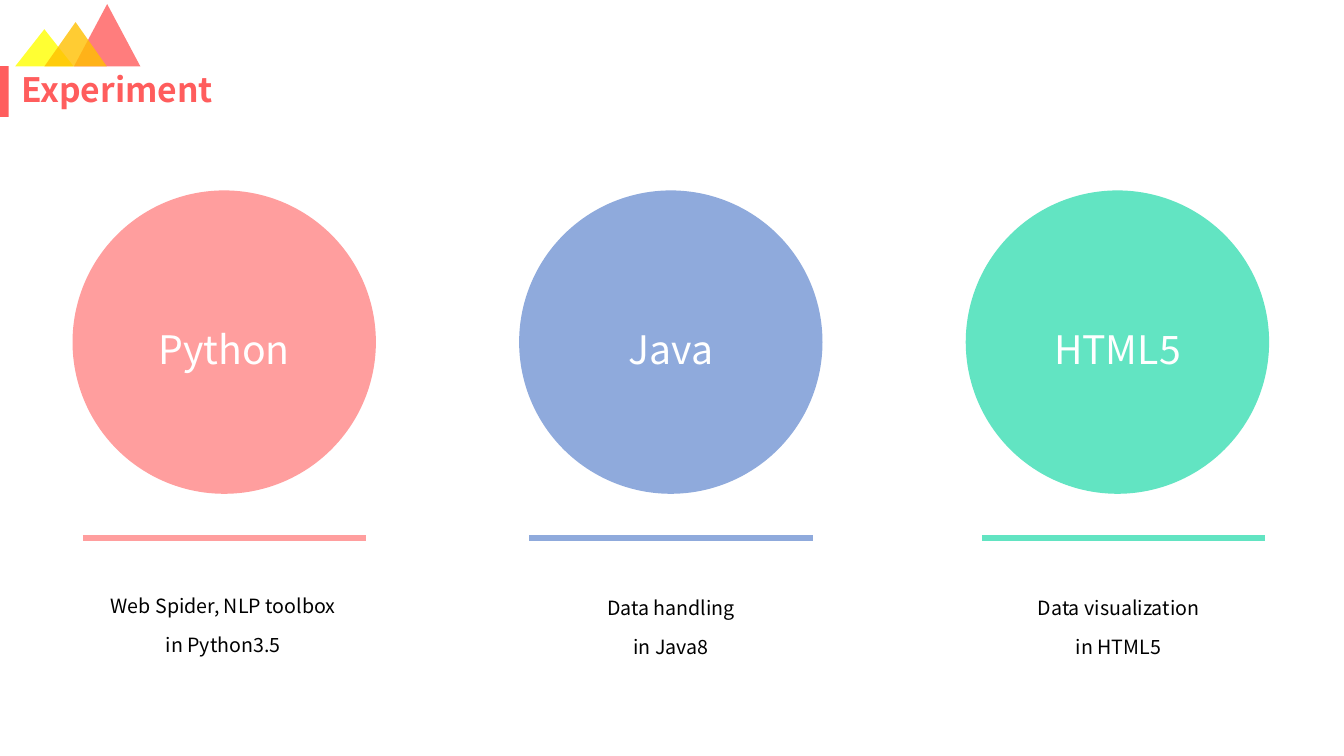
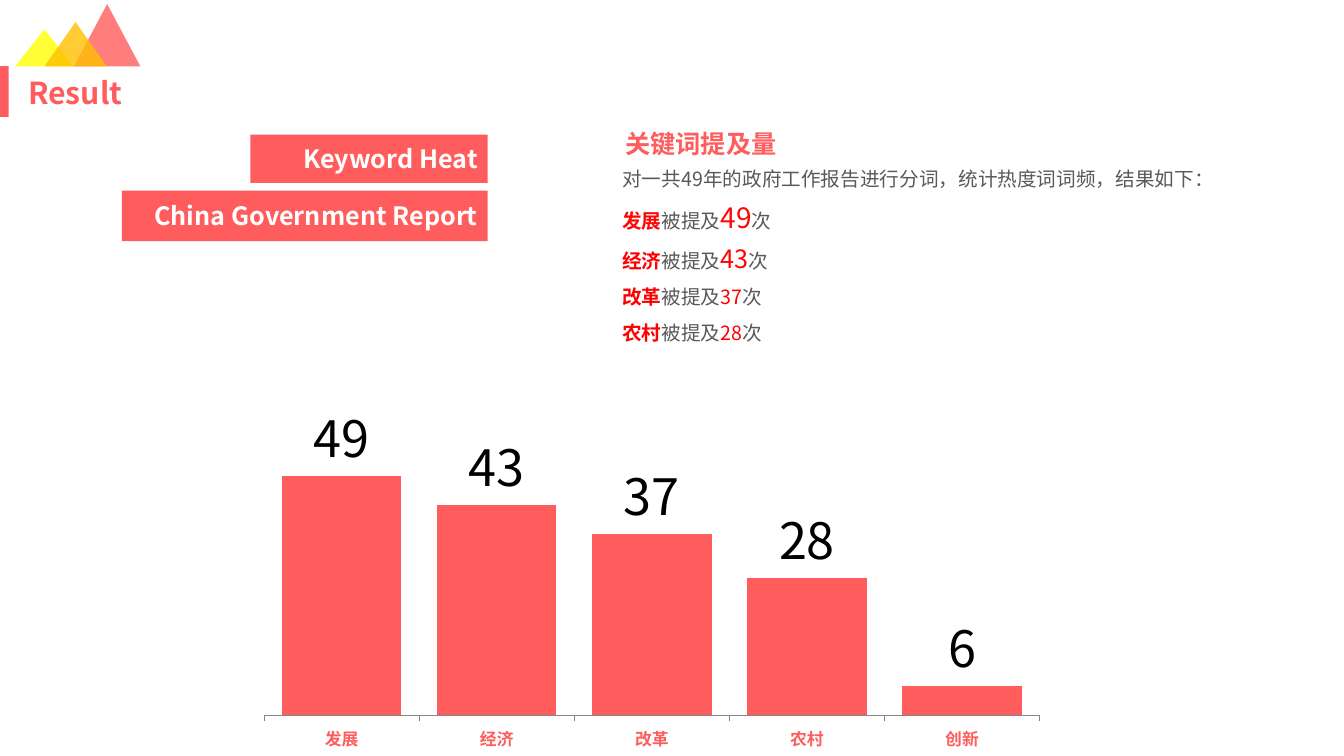
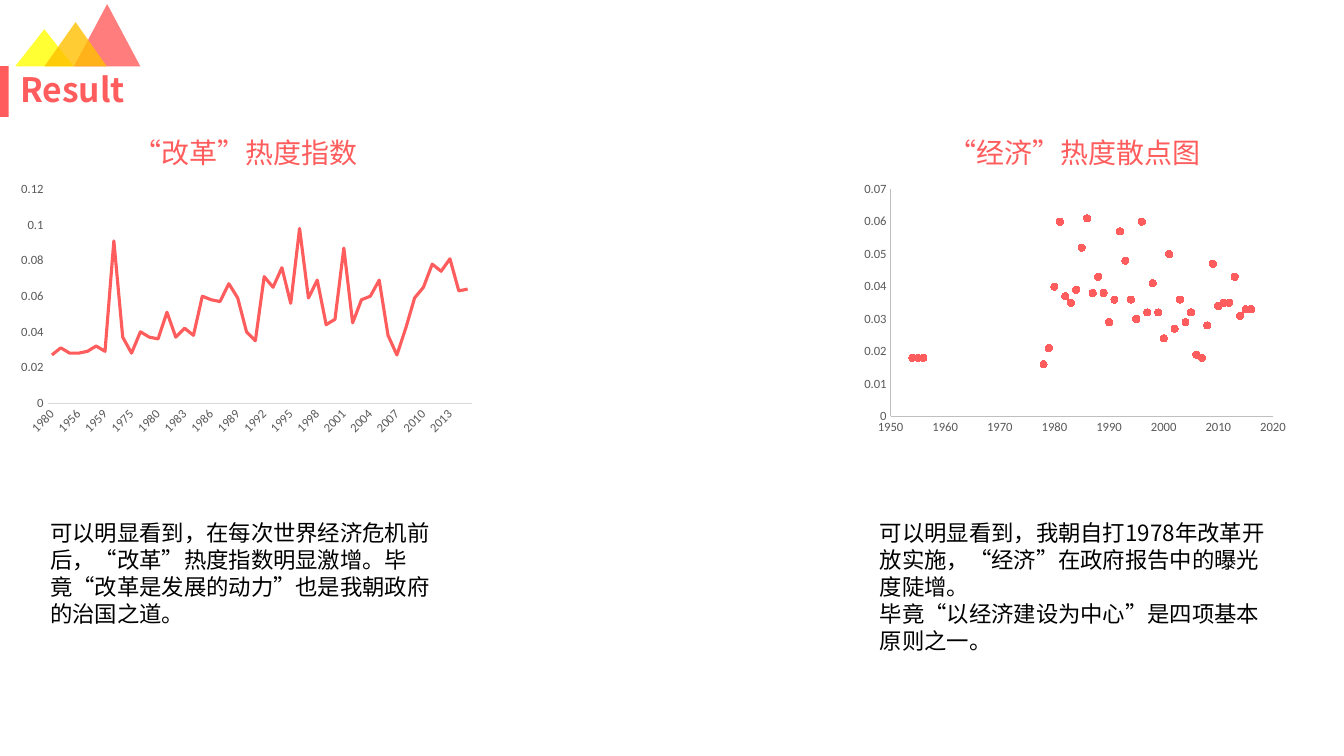
"""Build three slides on keyword heat in government reports."""
from lxml import etree
from pptx import Presentation, util as u
from pptx.chart import data
from pptx.dml import color as dml
from pptx.enum import chart as charts, shapes, text
from pptx.oxml import ns, parse_xml

rgb = dml.RGBColor.from_string
CORAL, WHITE, BLACK, GREY, RED = "FF5D5D", "FFFFFF", "000000", "595959", "FF0000"
FONT = "Noto Sans CJK SC"
LEFT, CENTER, RIGHT = text.PP_ALIGN.LEFT, text.PP_ALIGN.CENTER, text.PP_ALIGN.RIGHT
TOP, MIDDLE = text.MSO_ANCHOR.TOP, text.MSO_ANCHOR.MIDDLE
RECTANGLE = shapes.MSO_SHAPE.RECTANGLE


def format_run(run, size, color, bold=False, font=FONT):
    """Set the font of a run for Latin and East Asian text."""
    run.font.name = font
    run.font.size = u.Pt(size)
    run.font.bold = bold
    run.font.color.rgb = rgb(color)
    latin = run.font._element.find(ns.qn("a:latin"))
    east_asian = etree.Element(ns.qn("a:ea"), typeface=font)
    latin.addnext(east_asian)


def add_box(slide, box, words="", size=18, color=BLACK, kind=None, fill=None, bold=False,
            align=LEFT, anchor=TOP, spacing=1, before=0, margins=(7.2, 3.6), font=FONT):
    """Add a text box, or a filled shape if a kind is given."""
    frame = [u.Pt(length) for length in box]
    if kind is None:
        shape = slide.shapes.add_textbox(*frame)
    else:
        shape = slide.shapes.add_shape(kind, *frame)
        shape.shadow.inherit = False
        shape.fill.solid()
        shape.fill.fore_color.rgb = rgb(fill)
        shape.line.fill.background()
    text_frame = shape.text_frame
    text_frame.word_wrap = True
    text_frame.vertical_anchor = anchor
    text_frame.margin_left = text_frame.margin_right = u.Pt(margins[0])
    text_frame.margin_top = text_frame.margin_bottom = u.Pt(margins[1])
    text_frame.text = words
    for paragraph in text_frame.paragraphs:
        paragraph.alignment = align
        paragraph.line_spacing = spacing
        paragraph.space_before = u.Pt(before)
        for run in paragraph.runs:
            format_run(run, size, color, bold, font)
    return shape


presentation = Presentation()
presentation.slide_width = u.Pt(960)
presentation.slide_height = u.Pt(540)

triangles = [
    ((52.8, 2.9, 47.5, 44.6), CORAL),
    ((10.8, 20.9, 41.8, 26.6), "FFFF00"),
    ((31.7, 15.8, 44.6, 31.7), "FFC000"),
]
titles = [
    ("Experiment", (7.2, 49, 153, 33), 24, CENTER),
    ("Result", (13, 51.2, 90, 33), 21.6, LEFT),
    ("Result", (7.2, 49, 90, 33), 24, LEFT),
]
slides = []
for title, box, size, align in titles:
    slide = presentation.slides.add_slide(presentation.slide_layouts[6])
    for triangle_box, color in triangles:
        triangle = add_box(slide, triangle_box, kind=shapes.MSO_SHAPE.ISOSCELES_TRIANGLE, fill=color)
        solid = triangle._element.spPr.find(ns.qn("a:solidFill"))
        etree.SubElement(solid[0], ns.qn("a:alpha"), val="80000")
    add_box(slide, (0, 47.2, 6.2, 36.3), kind=RECTANGLE, fill=CORAL)
    add_box(slide, box, title, size, CORAL, bold=True, align=align, anchor=MIDDLE, spacing=0.9)
    slides.append(slide)
experiment, keywords, trends = slides

languages = [
    ("Python", "FF9E9E", 59.3, (58.3, 415.8), "Web Spider, NLP toolbox\nin Python3.5"),
    ("Java", "8FAADC", 378, (378.2, 417), "Data handling\nin Java8"),
    ("HTML5", "62E4C2", 701.3, (697.9, 417), "Data visualization\nin HTML5"),
]
for index, (language, color, line_left, corner, task) in enumerate(languages):
    add_box(experiment, (51.8 + 319 * index, 136, 216.7, 216.7), language, 28, WHITE,
            kind=shapes.MSO_SHAPE.OVAL, fill=color, align=CENTER, anchor=MIDDLE, spacing=1.3)
    line = experiment.shapes.add_connector(
        shapes.MSO_CONNECTOR.STRAIGHT, u.Pt(line_left), u.Pt(384.5), u.Pt(line_left + 202.4), u.Pt(384.5))
    line.line.color.rgb = rgb(color)
    line.line.width = u.Pt(4.5)
    etree.SubElement(line._element.spPr, ns.qn("a:effectLst"))
    add_box(experiment, (*corner, 202.4, 57.6), task, 14, align=CENTER, spacing=1.3, before=6)

for words, box in [("Keyword Heat", (178.8, 96.2, 169.5, 34.4)),
                   ("China Government Report", (87, 136.2, 261.3, 36))]:
    add_box(keywords, box, words, 18, WHITE, RECTANGLE, CORAL, True, RIGHT, MIDDLE)
add_box(keywords, (439.6, 87.8, 182, 29), "关键词提及量", 18, CORAL, bold=True, font="Quicksand")

mentions = [("发展", 49, 20, 1.3, "FF0606"), ("经济", 43, 18, 1.3, RED),
            ("改革", 37, 14, 1.5, RED), ("农村", 28, 14, 1.5, RED)]
summary = add_box(keywords, (439.6, 111.2, 463, 138),
                  "对一共49年的政府工作报告进行分词，统计热度词词频，结果如下：",
                  14, GREY, spacing=1.3, margins=(5, 3))
for word, count, size, spacing, accent in mentions:
    paragraph = summary.text_frame.add_paragraph()
    paragraph.line_spacing = spacing
    pieces = [(word, 14, accent, True), ("被提及", 14, GREY, False),
              (str(count), size, accent, False), ("次", 14, GREY, False)]
    for words, piece_size, color, bold in pieces:
        run = paragraph.add_run()
        run.text = words
        format_run(run, piece_size, color, bold)

for words, box in [("“改革”热度指数", (82.8, 93.6, 185, 31.7)),
                   ("“经济”热度散点图", (652.6, 93.6, 230.4, 31.7))]:
    add_box(trends, box, words, 20, CORAL, align=CENTER)
for words, box in [
    ("可以明显看到，在每次世界经济危机前后，“改革”热度指数明显激增。"
     "毕竟“改革是发展的动力”也是我朝政府的治国之道。", (28.8, 367.3, 293, 85)),
    ("可以明显看到，我朝自打1978年改革开放实施，“经济”在政府报告中的曝光度陡增。\n"
     "毕竟“以经济建设为中心”是四项基本原则之一。", (621.4, 367.3, 293, 104.4)),
]:
    add_box(trends, box, words, 16)

count_data = data.CategoryChartData()
count_data.categories = [mention[0] for mention in mentions] + ["创新"]
count_data.add_series("Series 1", [mention[1] for mention in mentions] + [6])

reform_data = data.CategoryChartData()
reform_years = [1980, *range(1954, 1961), 1964, 1975, *range(1978, 2016)]
reform_data.categories = [str(year) for year in reform_years]
reform_data.add_series("Series 1", [
    0.027, 0.031, 0.028, 0.028, 0.029, 0.032, 0.029, 0.091, 0.037, 0.028, 0.04, 0.037,
    0.036, 0.051, 0.037, 0.042, 0.038, 0.06, 0.058, 0.057, 0.067, 0.059, 0.04, 0.035,
    0.071, 0.065, 0.076, 0.056, 0.098, 0.059, 0.069, 0.044, 0.047, 0.087, 0.045, 0.058,
    0.06, 0.069, 0.038, 0.027, 0.042, 0.059, 0.065, 0.078, 0.074, 0.081, 0.063, 0.064])

economy_data = data.XyChartData()
economy_series = economy_data.add_series("Series 1")
economy_years = [None, *range(1954, 1957), *range(1978, 2017)]
economy_heat = [
    None, 0.018, 0.018, 0.018, 0.016, 0.021, 0.04, 0.06, 0.037, 0.035, 0.039, 0.052, 0.061,
    0.038, 0.043, 0.038, 0.029, 0.036, 0.057, 0.048, 0.036, 0.03, 0.06, 0.032, 0.041,
    0.032, 0.024, 0.05, 0.027, 0.036, 0.029, 0.032, 0.019, 0.018, 0.028, 0.047, 0.034,
    0.035, 0.035, 0.043, 0.031, 0.033, 0.033]
for year, heat in zip(economy_years, economy_heat):
    economy_series.add_data_point(year, heat)

types = charts.XL_CHART_TYPE
chart_specs = [
    (keywords, types.COLUMN_CLUSTERED, (177.2, 284.8, 577, 254), count_data,
     (0.02, 0.06, 0.96, 0.83), 60, 10, "868686"),
    (trends, types.LINE, (7, 125.8, 337, 188.6), reform_data,
     (0.08, 0.05, 0.9, 0.81), 0.12, 0.02, "D9D9D9"),
    (trends, types.XY_SCATTER, (611, 125.8, 314, 188.6), economy_data,
     (0.08, 0.05, 0.87, 0.86), 0.07, 0.01, "BFBFBF"),
]
drawn = []
for slide, kind, box, chart_data, layout, top, step, axis_color in chart_specs:
    chart = slide.shapes.add_chart(kind, *[u.Pt(length) for length in box], chart_data).chart
    chart.has_legend = False
    chart.has_title = False
    chart.font.name = "Calibri"
    chart.font.size = u.Pt(10)
    chart.font.color.rgb = rgb(BLACK)
    chart.plots[0].vary_by_categories = False
    for axis in (chart.category_axis, chart.value_axis):
        axis.has_major_gridlines = False
        axis.major_tick_mark = axis.minor_tick_mark = charts.XL_TICK_MARK.NONE
        axis.format.line.color.rgb = rgb(axis_color)
        axis.format.line.width = u.Pt(0.75)
        axis.tick_labels.font.name = "Calibri"
        axis.tick_labels.font.size = u.Pt(9)
        axis.tick_labels.font.color.rgb = rgb(GREY)
    chart.value_axis.minimum_scale = 0
    chart.value_axis.maximum_scale = top
    chart.value_axis.major_unit = step
    plot_area = chart._chartSpace.chart.plotArea
    for automatic in plot_area.findall(ns.qn("c:layout")):
        plot_area.remove(automatic)
    sides = "".join(f'<c:{side} val="{share}"/>' for side, share in zip("xywh", layout))
    plot_area.insert(0, parse_xml(
        f'<c:layout {ns.nsdecls("c")}><c:manualLayout><c:layoutTarget val="inner"/>'
        f'<c:xMode val="edge"/><c:yMode val="edge"/>{sides}</c:manualLayout></c:layout>'))
    drawn.append(chart)
count_chart, reform_chart, economy_chart = drawn

bars = count_chart.plots[0]
bars.gap_width = 30
bars.overlap = 35
bars.series[0].format.fill.solid()
bars.series[0].format.fill.fore_color.rgb = rgb(CORAL)
bars.has_data_labels = True
bars.data_labels.show_value = True
bars.data_labels.position = charts.XL_LABEL_POSITION.OUTSIDE_END
bars.data_labels.font.name = FONT
bars.data_labels.font.size = u.Pt(36)
bars.data_labels.font.color.rgb = rgb(BLACK)
count_chart.value_axis.visible = False
count_chart.category_axis.major_tick_mark = charts.XL_TICK_MARK.OUTSIDE
word_font = count_chart.category_axis.tick_labels.font
word_font.size = u.Pt(12)
word_font.bold = True
word_font.color.rgb = rgb(CORAL)

reform_line = reform_chart.plots[0].series[0]
reform_line.smooth = False
reform_line.format.line.color.rgb = rgb(CORAL)
reform_line.format.line.width = u.Pt(2.25)
reform_chart.value_axis.format.line.fill.background()
reform_chart.category_axis._element.txPr.bodyPr.set("rot", "-2700000")

economy_points = economy_chart.plots[0].series[0]
economy_points.format.line.fill.background()
economy_points.marker.style = charts.XL_MARKER_STYLE.CIRCLE
economy_points.marker.size = 5
economy_points.marker.format.fill.solid()
economy_points.marker.format.fill.fore_color.rgb = rgb(CORAL)
economy_points.marker.format.line.color.rgb = rgb(CORAL)
economy_chart.category_axis.minimum_scale = 1950
economy_chart.category_axis.maximum_scale = 2020
economy_chart.category_axis.major_unit = 10

presentation.save("out.pptx")
